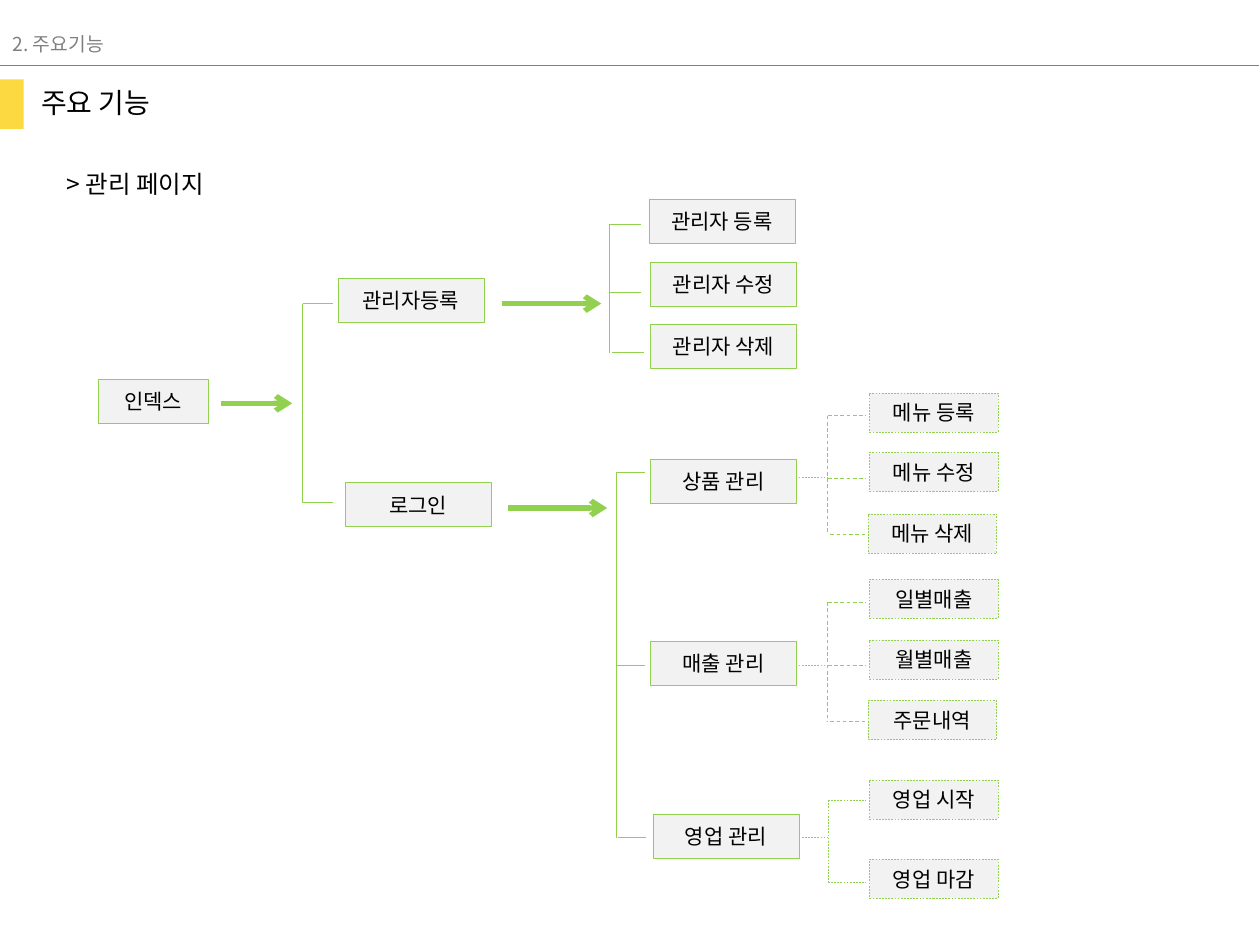
from dataclasses import dataclass

import pptx
import pptx.dml.color
import pptx.enum.dml
import pptx.enum.shapes
import pptx.enum.text
import pptx.oxml
import pptx.oxml.ns
import pptx.presentation
import pptx.slide
import pptx.util
from pptx.util import Cm

FONT = "Noto Sans CJK KR"
GREEN, PALE, YELLOW, GREY, BLACK = "92D050", "F2F2F2", "FDD941", "808080", "000000"
DASH = pptx.enum.dml.MSO_LINE.DASH


@dataclass
class Node:
    """A labelled box; all positions and lengths are in centimetres."""
    text: str
    left: float
    top: float
    width: float = 2.95
    height: float = 0.89
    dashed: bool = False


@dataclass
class Bracket:
    """A vertical spine with one branch to the right at each height."""
    spine: float
    branches: tuple[float, ...]
    length: float
    last_offset: float = 0
    weight: float = 0.5
    dashed: bool = False


@dataclass
class Arrow:
    start: float
    end: float
    y: float


@dataclass
class Label:
    text: str
    left: float
    top: float
    width: float
    height: float
    size: float
    color: str = BLACK


def leaves(left: float, tops: dict[str, float]) -> list[Node]:
    return [Node(text, left, top, 2.59, 0.79, True) for text, top in tops.items()]


NODES = [
    Node("인덱스", 1.98, 7.65, width=2.21),
    Node("관리자등록", 6.81, 5.61),
    Node("로그인", 6.96, 9.73),
    Node("관리자 등록", 13.08, 4.01),
    Node("관리자 수정", 13.11, 5.28),
    Node("관리자 삭제", 13.11, 6.53),
    Node("상품 관리", 13.11, 9.25),
    Node("매출 관리", 13.11, 12.93),
    Node("영업 관리", 13.16, 16.41),
    *leaves(17.53, {"메뉴 등록": 7.92, "메뉴 수정": 9.12,
                    "일별매출": 11.68, "월별매출": 12.9,
                    "영업 시작": 15.72, "영업 마감": 17.32}),
    *leaves(17.5, {"메뉴 삭제": 10.36, "주문내역": 14.12}),
]
SPINE = 16.69
BRACKETS = [
    Bracket(6.1, (6.12, 10.13), 0.61),
    Bracket(12.29, (4.52, 5.89, 7.11), 0.64, 0.05),
    Bracket(12.42, (9.53, 13.41, 16.89), 0.58, 0.03),
    Bracket(SPINE, (8.38, 9.65, 10.77), 0.76, 0.05, dashed=True),
    Bracket(SPINE, (12.14, 13.41, 14.55), 0.76, 0.05, dashed=True),
    Bracket(SPINE, (16.13, 17.78), 0.76, weight=0.25, dashed=True),
]
STEM_START, STEM_HEIGHTS = 16.1, (9.63, 13.41, 16.87)
ARROWS = [Arrow(4.45, 5.89, 8.13), Arrow(10.11, 12.12, 6.12), Arrow(10.24, 12.24, 10.24)]
LABELS = [
    Label("2. 주요기능", 0, 0.53, 5.49, 0.74, 11, GREY),
    Label("주요 기능", 0.58, 1.6, 4.37, 0.94, 16),
    Label("> 관리 페이지", 1.09, 3.28, 4.6, 0.86, 14),
]


def paint(color_format: pptx.dml.color.ColorFormat, value: str) -> None:
    color_format.rgb = pptx.dml.color.RGBColor.from_string(value)


def add_span(para, text: str, size: float, color: str) -> None:
    span = para.add_run()
    span.text = text
    span.font.size = pptx.util.Pt(size)
    span.font.name = FONT
    paint(span.font.color, color)
    # Hangul takes its typeface from the East Asian slot
    east_asian = pptx.oxml.parse_xml(
        f'<a:ea {pptx.oxml.ns.nsdecls("a")} typeface="{FONT}"/>')
    span.font._element.append(east_asian)


def add_line(slide: pptx.slide.Slide, start: tuple[float, float],
             end: tuple[float, float], color: str = GREEN,
             weight: float = 0.5, dashed: bool = False):
    line = slide.shapes.add_connector(
        pptx.enum.shapes.MSO_CONNECTOR.STRAIGHT, *map(Cm, start + end))
    paint(line.line.color, color)
    line.line.width = pptx.util.Pt(weight)
    if dashed:
        line.line.dash_style = DASH
    line._element.spPr.append(
        pptx.oxml.parse_xml(f'<a:effectLst {pptx.oxml.ns.nsdecls("a")}/>'))
    return line


def add_arrow(slide: pptx.slide.Slide, arrow: Arrow) -> None:
    line = add_line(slide, (arrow.start, arrow.y), (arrow.end, arrow.y), weight=3)
    line.line._get_or_add_ln().append(pptx.oxml.parse_xml(
        f'<a:tailEnd {pptx.oxml.ns.nsdecls("a")} type="arrow"/>'))


def add_bracket(slide: pptx.slide.Slide, bracket: Bracket) -> None:
    first, last = bracket.branches[0], bracket.branches[-1]
    style = {"weight": bracket.weight, "dashed": bracket.dashed}
    add_line(slide, (bracket.spine, first), (bracket.spine, last), **style)
    for y in bracket.branches:
        left = bracket.spine + (bracket.last_offset if y == last else 0)
        add_line(slide, (left, y), (left + bracket.length, y), **style)


def add_rectangle(slide: pptx.slide.Slide, left: float, top: float,
                  width: float, height: float, fill: str):
    box = slide.shapes.add_shape(pptx.enum.shapes.MSO_SHAPE.RECTANGLE,
                                 Cm(left), Cm(top), Cm(width), Cm(height))
    box.shadow.inherit = False
    box.fill.solid()
    paint(box.fill.fore_color, fill)
    box.line.fill.background()
    return box


def add_node(slide: pptx.slide.Slide, node: Node) -> None:
    box = add_rectangle(slide, node.left, node.top, node.width, node.height, PALE)
    paint(box.line.color, GREEN)
    box.line.width = pptx.util.Pt(0.25)
    if node.dashed:
        box.line.dash_style = DASH
    frame = box.text_frame
    frame.word_wrap = True
    frame.vertical_anchor = pptx.enum.text.MSO_ANCHOR.MIDDLE
    frame.margin_left = frame.margin_right = Cm(0.25)
    frame.margin_top = frame.margin_bottom = Cm(0.25)
    para = frame.paragraphs[0]
    para.alignment = pptx.enum.text.PP_ALIGN.CENTER
    add_span(para, node.text, 12, BLACK)


def add_label(slide: pptx.slide.Slide, label: Label) -> None:
    box = slide.shapes.add_textbox(
        Cm(label.left), Cm(label.top), Cm(label.width), Cm(label.height))
    box.text_frame.word_wrap = True
    box.text_frame.auto_size = pptx.enum.text.MSO_AUTO_SIZE.SHAPE_TO_FIT_TEXT
    add_span(box.text_frame.paragraphs[0], label.text, label.size, label.color)


def main() -> None:
    deck = pptx.Presentation()
    deck.slide_width, deck.slide_height = Cm(25.4), Cm(19.05)
    slide = deck.slides.add_slide(deck.slide_layouts[6])

    add_line(slide, (0, 1.32), (25.37, 1.32), GREY, weight=1)
    add_rectangle(slide, -0.02, 1.6, 0.5, 1, YELLOW)
    for label in LABELS:
        add_label(slide, label)
    for bracket in BRACKETS:
        add_bracket(slide, bracket)
    for y in STEM_HEIGHTS:
        add_line(slide, (STEM_START, y), (SPINE, y), weight=0.25, dashed=True)
    for arrow in ARROWS:
        add_arrow(slide, arrow)
    for node in NODES:
        add_node(slide, node)

    deck.save("out.pptx")


if __name__ == "__main__":
    main()
